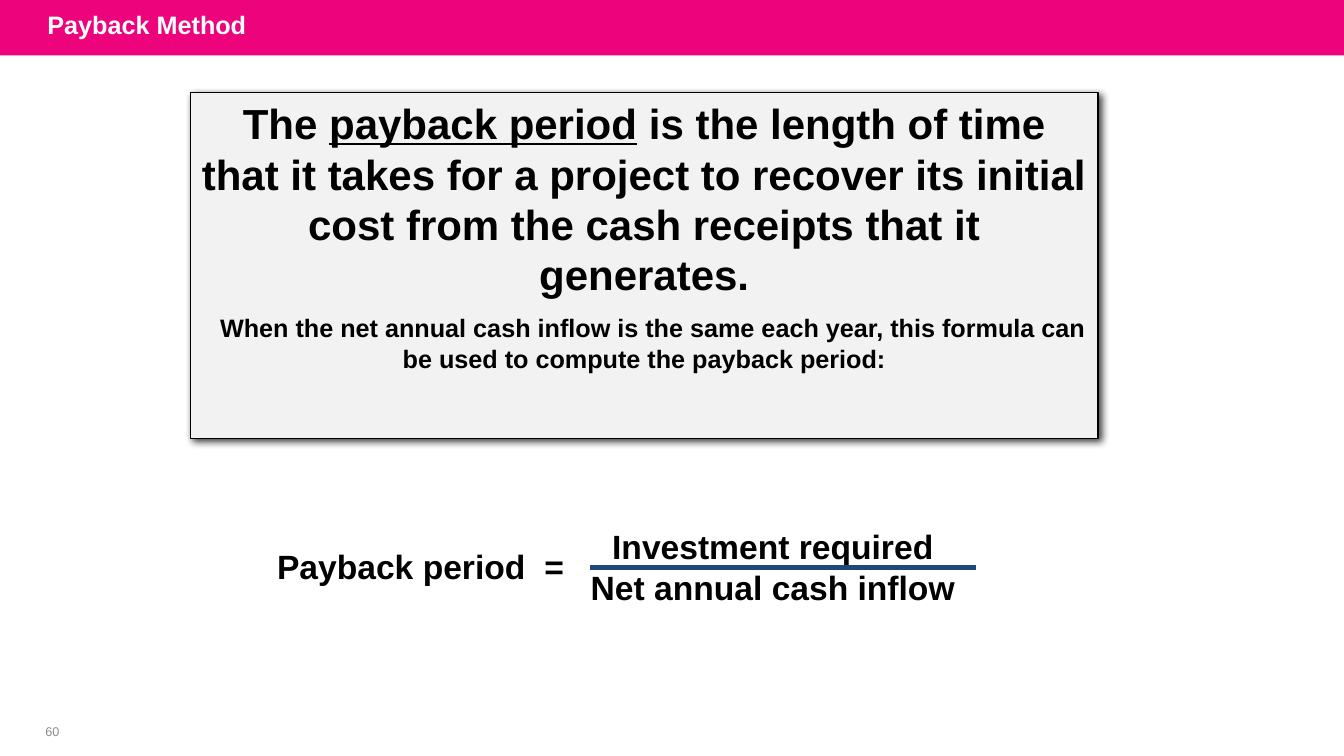
"""Build the payback method slide."""
from lxml.etree import SubElement
from pptx import Presentation
from pptx.dml.color import RGBColor
from pptx.enum.shapes import MSO_CONNECTOR, MSO_SHAPE
from pptx.enum.text import MSO_ANCHOR, PP_ALIGN
from pptx.oxml import parse_xml
from pptx.oxml.ns import nsdecls, qn
from pptx.util import Inches, Pt

THEME = {
    "font": "Arial",
    "pink": "ED037C", "white": "FFFFFF", "black": "000000",
    "pale": "F2F2F2", "navy": "1F497D", "gray": "8C8C8C",
    "lead": 30, "term": 24, "body": 18, "small": 9,
}
SIZE = (13.33, 7.5)
TITLE = "Payback Method"
LEAD = [
    ("The ", False),
    ("payback period", True),
    (" is the length of time that it takes for a project to recover its "
     "initial cost from the cash receipts that it generates.", False),
]
NOTE = [("When the net annual cash inflow is the same each year, this formula "
         "can be used to compute the payback period:", False)]
RESULT = "Payback period"
RATIO = ["Investment required", "Net annual cash inflow"]
NUMBER = "60"
BAND = (0, 0, SIZE[0], 0.55)
HEAD = (0.37, -0.03, 10.5, 0.55)
PANEL = (1.89, 0.92, 9, 3.43)
BAR = (5.85, 9.68, 5.63)
PAGE = (0.26, 7.14, 0.52, 0.24)


def span(box):
    """Turn a box in inches into lengths."""
    return [Inches(part) for part in box]


def color(name):
    """Look up a theme color."""
    return RGBColor.from_string(THEME[name])


def write(para, runs, size, tint="black", bold=True, align=PP_ALIGN.LEFT):
    """Fill a paragraph run by run."""
    para.alignment = align
    for text, under in runs:
        run = para.add_run()
        run.text = text
        font = run.font
        font.name, font.size = THEME["font"], Pt(THEME[size])
        font.bold, font.underline = bold, under
        font.color.rgb = color(tint)


def label(shapes, box, lines, size, tint="black", bold=True,
          align=PP_ALIGN.LEFT, anchor=MSO_ANCHOR.TOP):
    """Add a text box with one paragraph per line."""
    frame = shapes.add_textbox(*span(box)).text_frame
    frame.word_wrap = True
    frame.vertical_anchor = anchor
    for spot, line in enumerate(lines):
        para = frame.add_paragraph() if spot else frame.paragraphs[0]
        write(para, [(line, False)], size, tint, bold, align)


def block(shapes, box, fill):
    """Add a plain filled rectangle."""
    shape = shapes.add_shape(MSO_SHAPE.RECTANGLE, *span(box))
    shape.shadow.inherit = False
    shape.fill.solid()
    shape.fill.fore_color.rgb = color(fill)
    shape.line.fill.background()
    return shape


def header(slide):
    """Add the band and put the title on it."""
    block(slide.shapes, BAND, "pink")
    title = slide.shapes.title
    title.left, title.top, title.width, title.height = span(HEAD)
    title.text_frame.vertical_anchor = MSO_ANCHOR.MIDDLE
    write(title.text_frame.paragraphs[0], [(TITLE, False)], "body", "white")
    slide.shapes._spTree.append(title._element)


def panel(slide):
    """Add the shadowed definition panel."""
    shape = block(slide.shapes, PANEL, "pale")
    shape.line.color.rgb = color("black")
    shape.line.width = Pt(1)
    effects = shape._element.spPr.find(qn("a:effectLst"))
    effects.append(parse_xml(
        f'<a:outerShdw {nsdecls("a")} blurRad="{Pt(5)}" dist="{Pt(3)}" '
        f'dir="2700000" algn="tl" rotWithShape="0"><a:srgbClr '
        f'val="{THEME["black"]}"><a:alpha val="75000"/></a:srgbClr>'
        '</a:outerShdw>'))
    frame = shape.text_frame
    frame.word_wrap = True
    frame.vertical_anchor = MSO_ANCHOR.TOP
    lead, note = frame.paragraphs[0], frame.add_paragraph()
    for para, runs, size in ((lead, LEAD, "lead"), (note, NOTE, "body")):
        write(para, runs, size, align=PP_ALIGN.CENTER)
        para.space_before = Pt(THEME[size] * 0.2)
        para.space_after = Pt(6)
    note._p.get_or_add_pPr().set("indent", str(Inches(0.17)))


def formula(slide):
    """Add the payback fraction as one group."""
    shapes = slide.shapes.add_group_shape().shapes
    left, right, level = BAR
    label(shapes, (2.65, level - 0.26, 2.7, 0.5), [RESULT], "term")
    label(shapes, (5.3, level - 0.26, 0.5, 0.5), ["="], "term")
    label(shapes, (left - 0.1, level - 0.46, right - left, 0.91), RATIO,
          "term", align=PP_ALIGN.CENTER)
    line = shapes.add_connector(MSO_CONNECTOR.STRAIGHT,
                                *span((left, level, right, level)))
    line.line.color.rgb = color("navy")
    line.line.width = Pt(3)
    SubElement(line._element.spPr, qn("a:effectLst"))


def main():
    """Build and save the slide."""
    deck = Presentation()
    deck.slide_width, deck.slide_height = span(SIZE)
    slide = deck.slides.add_slide(deck.slide_layouts[5])
    header(slide)
    panel(slide)
    formula(slide)
    label(slide.shapes, PAGE, [NUMBER], "small", "gray", False,
          PP_ALIGN.CENTER, MSO_ANCHOR.MIDDLE)
    deck.save("out.pptx")


if __name__ == "__main__":
    main()
